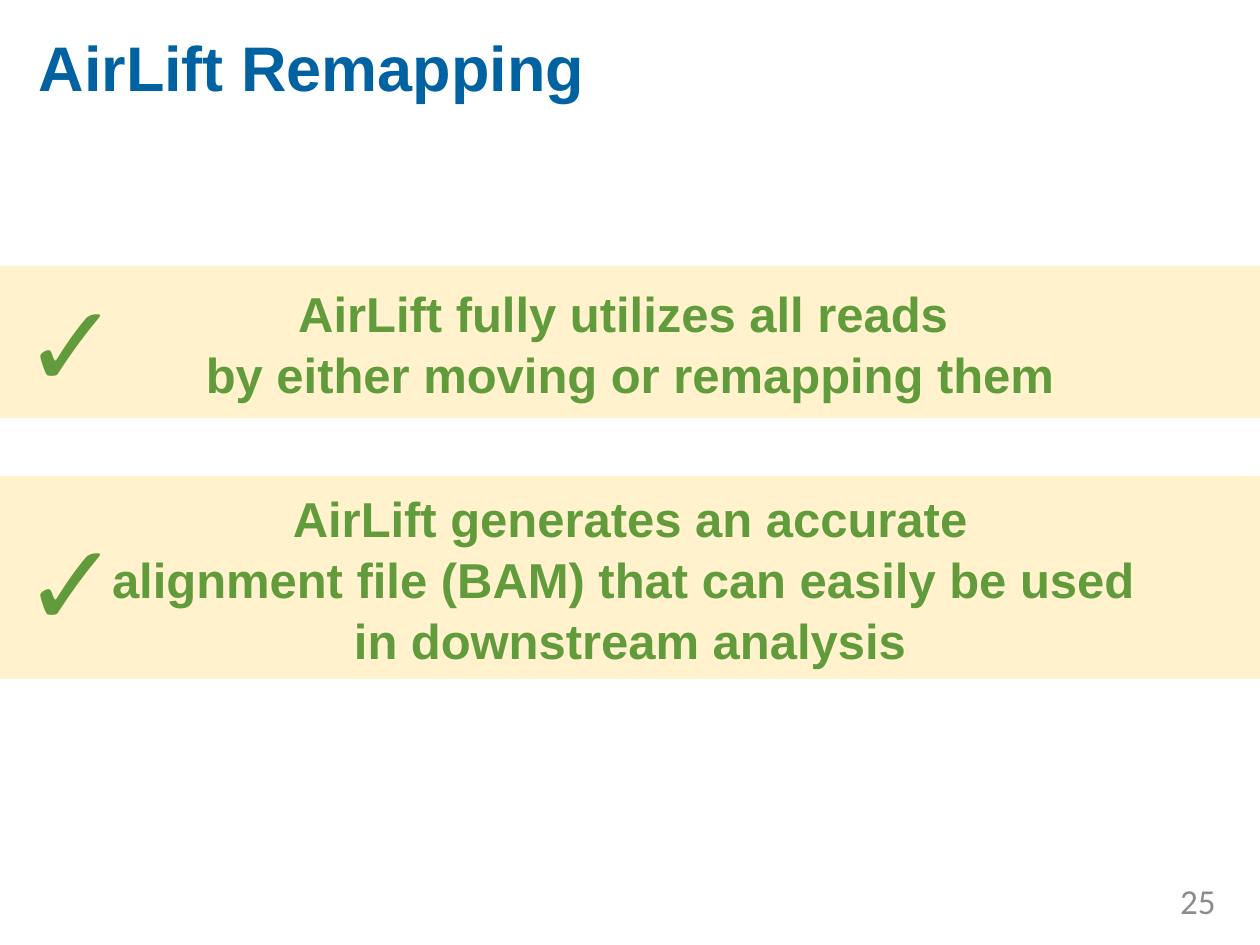
from pptx import Presentation
from pptx.dml.color import RGBColor as Rgb
from pptx.enum.shapes import MSO_SHAPE as Kind
from pptx.enum.text import MSO_ANCHOR as Anchor, PP_ALIGN as Align
from pptx.util import Pt

EMU = 914400 / 126  # one px
HUES = {"blue": "0062A0", "green": "629B3C", "cream": "FFF2CC", "gray": "8C8C8C"}

TITLE = {"name": "Arial", "size": Pt(36), "bold": True}
CLAIM = {"name": "Arial", "size": Pt(28), "bold": True}
CHECK = {"name": "Arial", "size": Pt(66), "bold": True}
PAGE = {"name": "Calibri", "size": Pt(20), "bold": False}

# Each band: top, height, top of check mark, lines
BANDS = [
    (266, 152, 266, ["AirLift fully utilizes all reads ",
                     "by either moving or remapping them"]),
    (476, 203, 505, ["AirLift generates an accurate",
                     "alignment file (BAM) that can easily be used ",
                     "in downstream analysis"]),
]


def px(*vals):
    return [round(v * EMU) for v in vals]


def hue(key):
    return Rgb.from_string(HUES[key])


def write(shape, lines, form, key, align=Align.LEFT, mid=True, **gaps):
    frame = shape.text_frame
    frame.word_wrap = True
    frame.vertical_anchor = Anchor.MIDDLE if mid else Anchor.TOP
    frame.text = "\n".join(lines)
    for para in frame.paragraphs:
        para.alignment = align
        for name, val in gaps.items():
            setattr(para, name, val)
        for run in para.runs:
            for name, val in form.items():
                setattr(run.font, name, val)
            run.font.color.rgb = hue(key)


def add_title(slide, text):
    title = slide.shapes.title
    title.left, title.top, title.width, title.height = px(26, 13, 1212, 106)
    write(title, [text], TITLE, "blue", space_after=Pt(6))


def add_band(slide, top, high, mark, lines):
    group = slide.shapes.add_group_shape().shapes
    bar = group.add_shape(Kind.RECTANGLE, *px(0, top, 1260, high))
    bar.shadow.inherit = False
    bar.fill.solid()
    bar.fill.fore_color.rgb = hue("cream")
    bar.line.fill.background()
    write(bar, lines, CLAIM, "green", Align.CENTER, line_spacing=1.04)
    tick = group.add_textbox(*px(11, mark, 129, 152))
    write(tick, ["✓"], CHECK, "green", mid=False)


def add_page(slide, num):
    box = slide.shapes.add_textbox(*px(1092, 876, 136, 50))
    write(box, [num], PAGE, "gray", Align.RIGHT)


def main():
    deck = Presentation()
    deck.slide_width, deck.slide_height = px(1260, 945)
    slide = deck.slides.add_slide(deck.slide_layouts[5])
    add_title(slide, "AirLift Remapping")
    for band in BANDS:
        add_band(slide, *band)
    add_page(slide, "25")
    deck.save("out.pptx")


if __name__ == "__main__":
    main()
